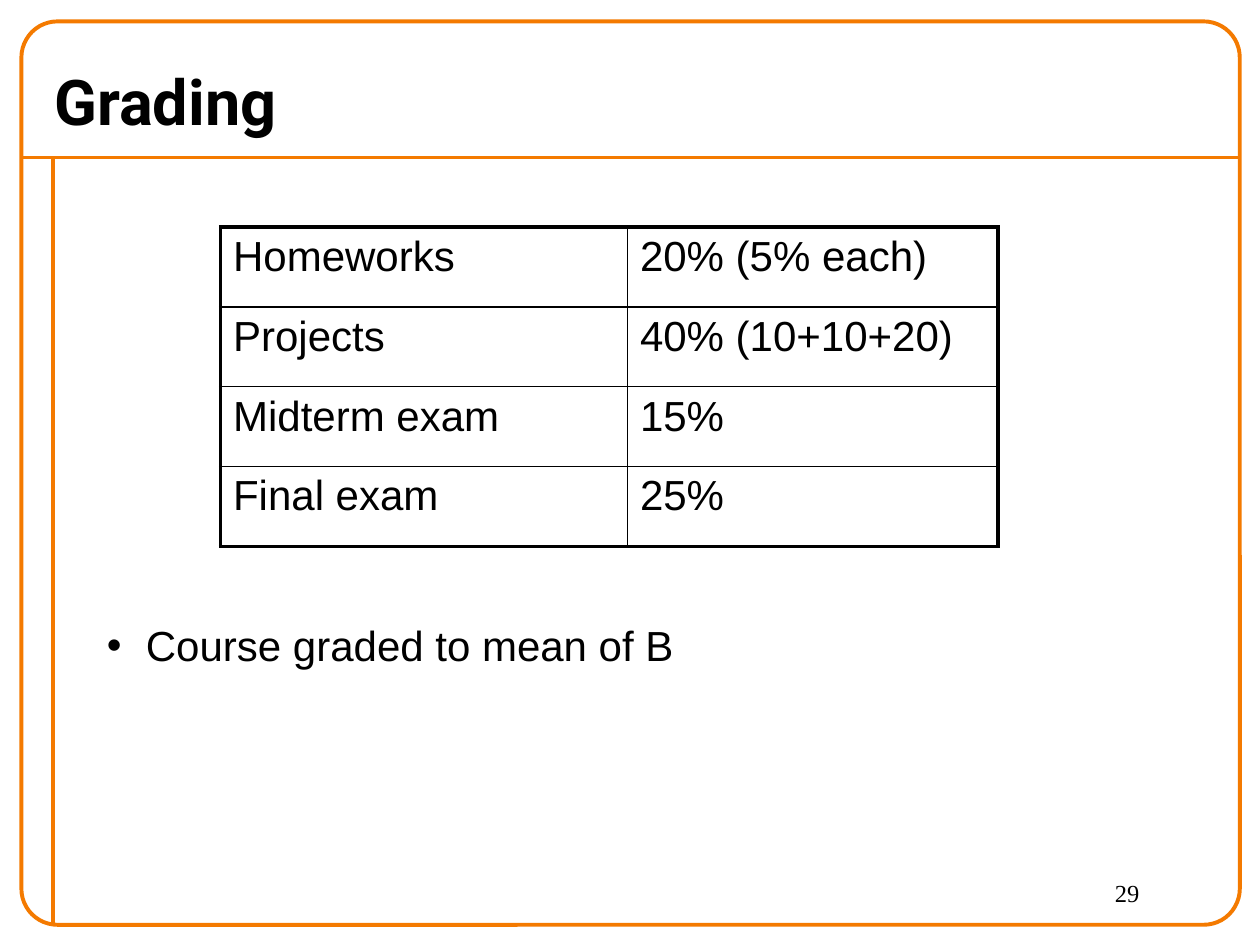
import pptx
import pptx.util
import pptx.dml.color
import pptx.enum.shapes
import pptx.enum.text
import pptx.oxml
import pptx.oxml.ns
import lxml.etree

Inches, Pt = pptx.util.Inches, pptx.util.Pt
qn = pptx.oxml.ns.qn
ORANGE, BLACK = "F47A00", "000000"


def color(value):
    return pptx.dml.color.RGBColor.from_string(value)


def write(tf, text, font, size, bold=False):
    tf.text = text
    p = tf.paragraphs[0]
    p.alignment = pptx.enum.text.PP_ALIGN.LEFT
    r = p.runs[0]
    r.font.name, r.font.size, r.font.bold = font, Pt(size), bold
    r.font.color.rgb = color(BLACK)
    return p


prs = pptx.Presentation()
prs.slide_width, prs.slide_height = Inches(10), Inches(7.5)
s = prs.slides.add_slide(prs.slide_layouts[5])

for x1, y1, x2, y2 in [(0.17, 1.25, 9.83, 1.25), (0.42, 1.25, 0.42, 7.33)]:
    line = s.shapes.add_connector(
        pptx.enum.shapes.MSO_CONNECTOR.STRAIGHT,
        Inches(x1), Inches(y1), Inches(x2), Inches(y2))
    line.line.color.rgb = color(ORANGE)
    line.line.width = Pt(2.25)
    lxml.etree.SubElement(line._element.spPr, qn("a:effectLst"))

frame = s.shapes.add_shape(
    pptx.enum.shapes.MSO_SHAPE.ROUNDED_RECTANGLE,
    Inches(0.17), Inches(0.17), Inches(9.67), Inches(7.17))
frame.adjustments[0] = 0.04
frame.fill.background()
frame.line.color.rgb = color(ORANGE)
frame.line.width = Pt(2.25)
frame.shadow.inherit = False

number = s.shapes.add_textbox(Inches(8.75), Inches(6.92), Inches(1), Inches(0.42))
number.text_frame.word_wrap = True
write(number.text_frame, "29", "Times New Roman", 14)

title = s.shapes.title
title.left, title.top = Inches(0.33), Inches(0.42)
title.width, title.height = Inches(9.5), Inches(0.75)
title.text_frame.vertical_anchor = pptx.enum.text.MSO_ANCHOR.MIDDLE
write(title.text_frame, "Grading", "Roboto", 36, bold=True)

body = s.shapes.add_textbox(Inches(0.75), Inches(4.91), Inches(8.57), Inches(2.26))
body.text_frame.word_wrap = True
p = write(body.text_frame, "Course graded to mean of B", "Arial", 24)
p.line_spacing = 0.9
pPr = p._p.get_or_add_pPr()
pPr.set("marL", str(Inches(0.31)))
pPr.set("indent", str(-Inches(0.31)))
lxml.etree.SubElement(pPr, qn("a:buFont")).set("typeface", "Arial")
lxml.etree.SubElement(pPr, qn("a:buChar")).set("char", "•")

grades = [
    ("Homeworks", "20% (5% each)"),
    ("Projects", "40% (10+10+20)"),
    ("Midterm exam", "15%"),
    ("Final exam", "25%"),
]
rows, cols = len(grades), len(grades[0])
table = s.shapes.add_table(
    rows, cols, Inches(1.75), Inches(1.8), Inches(6.17), Inches(2.54)).table
table.first_row = table.horz_banding = False
for col, width in zip(table.columns, (3.23, 2.94)):
    col.width = Inches(width)

for i, row in enumerate(grades):
    for j, text in enumerate(row):
        cell = table.cell(i, j)
        write(cell.text_frame, text, "Arial", 24)
        outer = {"a:lnL": j == 0, "a:lnR": j == cols - 1,
                 "a:lnT": i == 0, "a:lnB": i == rows - 1}
        tcPr = cell._tc.get_or_add_tcPr()
        for tag, is_outer in outer.items():
            ln = lxml.etree.SubElement(tcPr, qn(tag))
            ln.set("w", str(Pt(2.25 if is_outer else 1)))
            fill = lxml.etree.SubElement(ln, qn("a:solidFill"))
            lxml.etree.SubElement(fill, qn("a:srgbClr")).set("val", BLACK)
        cell.fill.background()

prs.save("out.pptx")
